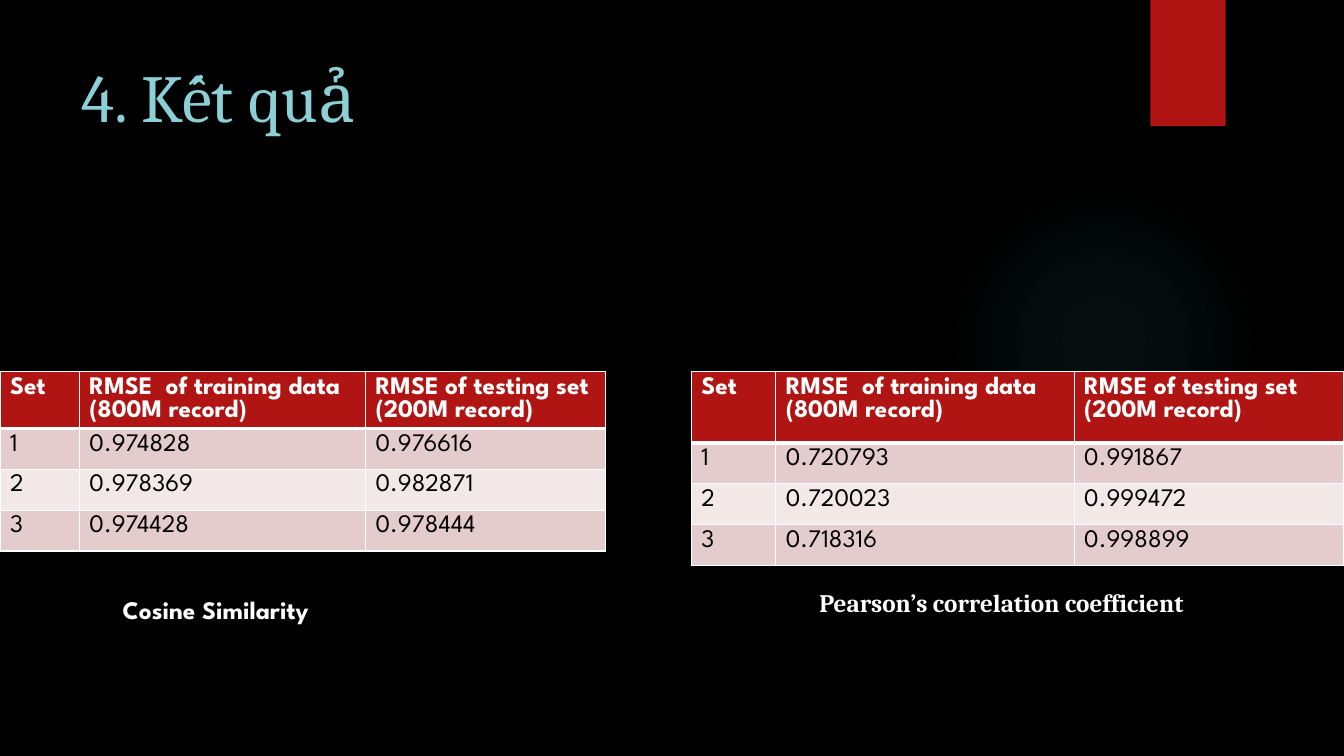
"""Build the results slide comparing RMSE for two similarity measures."""
from pptx import Presentation
from pptx import oxml
from pptx import util as u
from pptx.dml.color import RGBColor
from pptx.enum import shapes, text
from pptx.oxml import ns

BLACK = RGBColor(0x00, 0x00, 0x00)
WHITE = RGBColor(0xFF, 0xFF, 0xFF)
RED = RGBColor(0xB0, 0x15, 0x13)
AQUA = RGBColor(0x8A, 0xD0, 0xD6)
TEAL = RGBColor(0x50, 0xB9, 0xC1)
DARK_BAND = RGBColor(0xE4, 0xCC, 0xCC)
LIGHT_BAND = RGBColor(0xF2, 0xE8, 0xE7)
SERIF = "Cambria"
SANS = "League Spartan"

HEADER = ["Set", "RMSE  of training data (800M record)", "RMSE of testing set (200M record)"]
COSINE = [("0.974828", "0.976616"), ("0.978369", "0.982871"), ("0.974428", "0.978444")]
PEARSON = [("0.720793", "0.991867"), ("0.720023", "0.999472"), ("0.718316", "0.998899")]
TABLE_TOP = 9.37
ROW_HEIGHT = 1.03


def write_text(frame, content, font=SANS, size=18, color=WHITE, bold=False):
    frame.text = content
    paragraph = frame.paragraphs[0]
    paragraph.alignment = text.PP_ALIGN.LEFT
    run = paragraph.runs[0]
    run.font.name = font
    run.font.size = u.Pt(size)
    run.font.bold = bold
    run.font.color.rgb = color


def border_cell(cell, **widths):
    properties = cell._tc.get_or_add_tcPr()
    for index, side in enumerate("LRTB"):
        width = u.Pt(widths.get(side, 1))
        properties.insert(index, oxml.parse_xml(
            f'<a:ln{side} {ns.nsdecls("a")} w="{width}"><a:solidFill>'
            f'<a:srgbClr val="{WHITE}"/></a:solidFill></a:ln{side}>'))


class ResultSlide:
    def __init__(self, presentation):
        self.slide = presentation.slides.add_slide(presentation.slide_layouts[5])
        background = self.slide.background.fill
        background.solid()
        background.fore_color.rgb = BLACK

    def add_title(self, content, left, top, width, height):
        title = self.slide.shapes.title
        title.left, title.top = u.Cm(left), u.Cm(top)
        title.width, title.height = u.Cm(width), u.Cm(height)
        frame = title.text_frame
        frame.auto_size = text.MSO_AUTO_SIZE.NONE
        frame.vertical_anchor = text.MSO_ANCHOR.TOP
        write_text(frame, content, font=SERIF, size=48, color=AQUA)

    def add_block(self, kind, color, left, top, width, height):
        shape = self.slide.shapes.add_shape(
            kind, u.Cm(left), u.Cm(top), u.Cm(width), u.Cm(height))
        shape.fill.solid()
        shape.fill.fore_color.rgb = color
        shape.line.fill.background()
        shape.shadow.inherit = False
        return shape

    def add_glow(self, left, top, size):
        shape = self.add_block(shapes.MSO_SHAPE.OVAL, TEAL, left, top, size, size)
        stops = "".join(
            f'<a:gs pos="{position * 1000}"><a:srgbClr val="{TEAL}">'
            f'<a:alpha val="{alpha * 1000}"/></a:srgbClr></a:gs>'
            for position, alpha in ((0, 7), (36, 6), (69, 0), (100, 0)))
        gradient = oxml.parse_xml(
            f'<a:gradFill {ns.nsdecls("a")}><a:gsLst>{stops}</a:gsLst><a:path path="circle">'
            '<a:fillToRect l="50000" t="50000" r="50000" b="50000"/></a:path></a:gradFill>')
        properties = shape._element.spPr
        properties.replace(properties.find(ns.qn("a:solidFill")), gradient)

    def add_results(self, results, left, header_height, widths):
        rows = [HEADER] + [(str(number), *pair) for number, pair in enumerate(results, 1)]
        heights = [header_height] + [ROW_HEIGHT] * len(results)
        table = self.slide.shapes.add_table(
            len(rows), len(widths), u.Cm(left), u.Cm(TABLE_TOP),
            u.Cm(sum(widths)), u.Cm(sum(heights))).table
        for column, width in zip(table.columns, widths):
            column.width = u.Cm(width)
        for index, (values, height) in enumerate(zip(rows, heights)):
            table.rows[index].height = u.Cm(height)
            is_header = index == 0
            band = RED if is_header else DARK_BAND if index % 2 else LIGHT_BAND
            for cell, value in zip(table.rows[index].cells, values):
                cell.fill.solid()
                cell.fill.fore_color.rgb = band
                border_cell(cell, T=3 if index == 1 else 1, B=3 if is_header else 1)
                write_text(cell.text_frame, value, bold=is_header,
                           color=WHITE if is_header else BLACK)

    def add_caption(self, content, left, top, width, font):
        box = self.slide.shapes.add_textbox(u.Cm(left), u.Cm(top), u.Cm(width), u.Cm(1.03))
        box.text_frame.word_wrap = True
        write_text(box.text_frame, content, font=font, bold=True)


def main():
    presentation = Presentation()
    presentation.slide_width, presentation.slide_height = u.Cm(33.87), u.Cm(19.05)
    result = ResultSlide(presentation)
    result.add_glow(23.9, 4.65, 7.82)
    result.add_block(shapes.MSO_SHAPE.RECTANGLE, RED, 28.99, 0, 1.9, 3.18)
    result.add_title("4. Kết quả", 1.8, 1.27, 26.14, 3.89)
    result.add_results(COSINE, 0, 1.42, (2, 7.21, 6.04))
    result.add_caption("Cosine Similarity", 2.84, 14.86, 5.84, SANS)
    result.add_results(PEARSON, 17.42, 1.79, (2.13, 7.52, 6.78))
    result.add_caption("Pearson’s correlation coefficient", 20.4, 14.68, 10.52, SERIF)
    presentation.save("out.pptx")


if __name__ == "__main__":
    main()
